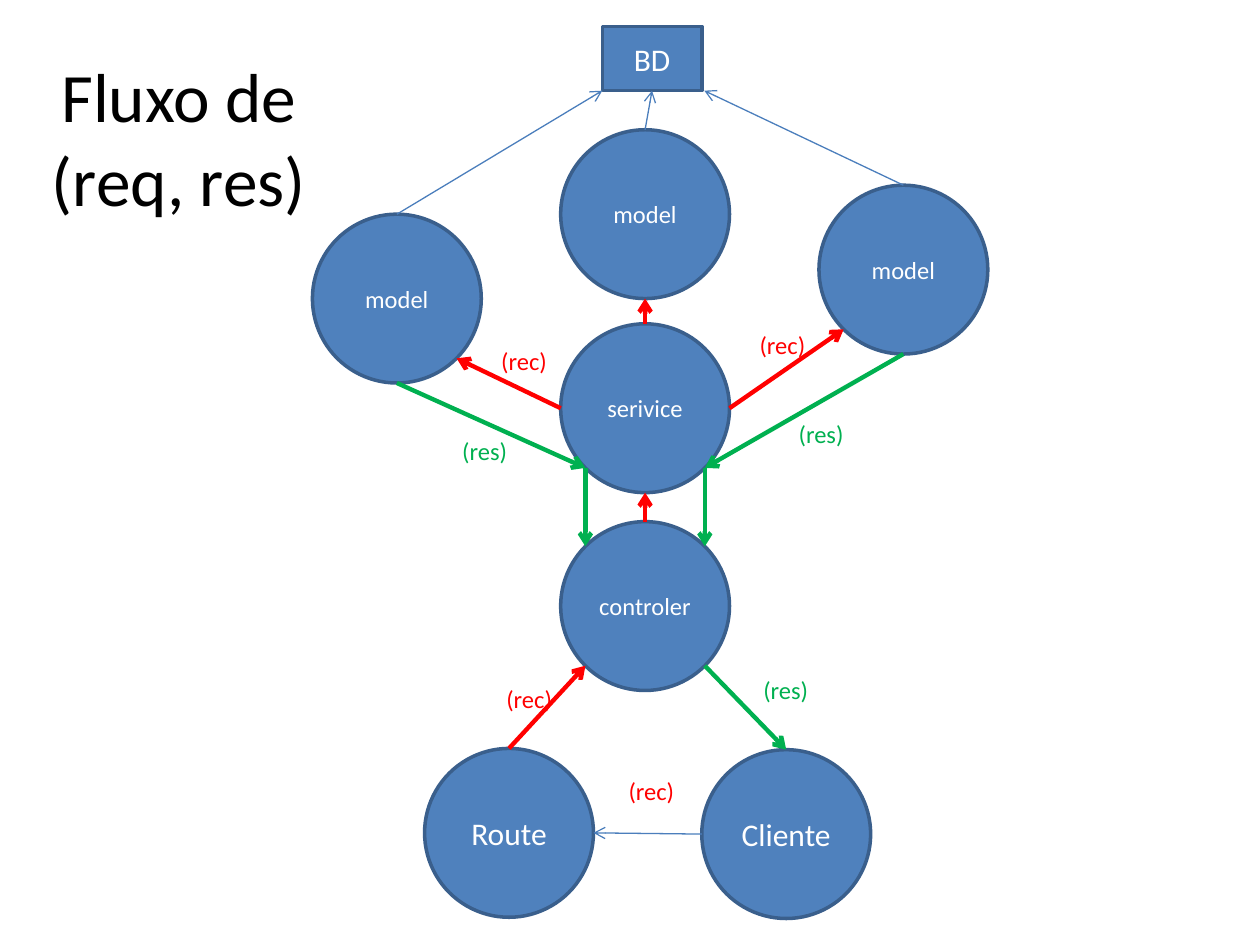
from math import sqrt

from lxml.etree import SubElement
from pptx import Presentation
from pptx.dml.color import RGBColor
from pptx.enum.shapes import MSO_CONNECTOR as Connector, MSO_SHAPE as Shape
from pptx.enum.text import MSO_ANCHOR as Anchor, PP_ALIGN as Align
from pptx.oxml.ns import qn
from pptx.util import Inches, Pt

# Grid of 100 columns by 75 rows over a 10 x 7.5 inch slide
WIDTH, HEIGHT = Inches(10), Inches(7.5)
COLUMNS, ROWS = 100, 75
DIAMETER = 13.4

FILL, OUTLINE, THIN = "4F81BD", "3A5F8C", "4B7EBC"
RED, GREEN, WHITE, BLACK = "FF0000", "00B050", "FFFFFF", "000000"

# Unit directions from a circle's centre to its rim
DIAGONAL = sqrt(0.5)
DIRECTIONS = {
    "top": (0, -1), "bottom": (0, 1), "left": (-1, 0), "right": (1, 0),
    "top left": (-DIAGONAL, -DIAGONAL), "top right": (DIAGONAL, -DIAGONAL),
    "bottom left": (-DIAGONAL, DIAGONAL), "bottom right": (DIAGONAL, DIAGONAL),
}

# name: (text, centre column, centre row, text size)
CIRCLES = {
    "route": ("Route", 40.4, 66.1, 18),
    "controller": ("controler", 51.2, 48.1, 14),
    "service": ("serivice", 51.2, 32.4, 14),
    "left model": ("model", 31.5, 23.7, 14),
    "middle model": ("model", 51.2, 17, 14),
    "right model": ("model", 71.7, 21.4, 14),
    "client": ("Cliente", 62.4, 66.2, 18),
}

# (circle, rim point) to (circle, rim point), colour, width
FLOWS = [
    ("route", "top", "controller", "bottom left", RED, 2.5),
    ("controller", "top", "service", "bottom", RED, 2.5),
    ("service", "left", "left model", "bottom right", RED, 2.5),
    ("service", "top", "middle model", "bottom", RED, 2.5),
    ("service", "right", "right model", "bottom left", RED, 2.5),
    ("right model", "bottom", "service", "bottom right", GREEN, 2.5),
    ("left model", "bottom", "service", "bottom left", GREEN, 2.5),
    ("service", "bottom left", "controller", "top left", GREEN, 2.5),
    ("service", "bottom right", "controller", "top right", GREEN, 2.5),
    ("controller", "bottom right", "client", "top", GREEN, 2.5),
    ("client", "left", "route", "right", THIN, 0.75),
]

# Left column and top row of each label
LABELS = {
    ("(rec)", RED): [(39.2, 53.8), (38.8, 27), (59.3, 25.7), (48.9, 61.1)],
    ("(res)", GREEN): [(62.4, 32.8), (35.7, 34.1), (59.6, 53.1)],
}


def x(column):
    return round(WIDTH * column / COLUMNS)


def y(row):
    return round(HEIGHT * row / ROWS)


def color(value):
    return RGBColor.from_string(value)


def rim(name, side):
    _, column, row, _ = CIRCLES[name]
    across, down = DIRECTIONS[side]
    return column + across * DIAMETER / 2, row + down * DIAMETER / 2


def write(shape, text, size=14, ink=WHITE, align=Align.CENTER,
          anchor=Anchor.MIDDLE, wrap=True):
    frame = shape.text_frame
    frame.word_wrap = wrap
    frame.vertical_anchor = anchor
    paragraph = frame.paragraphs[0]
    paragraph.alignment = align
    run = paragraph.add_run()
    run.text = text
    run.font.name = "Calibri"
    run.font.size = Pt(size)
    run.font.color.rgb = color(ink)


def add_text(slide, left, top, width, height, text, **text_format):
    box = slide.shapes.add_textbox(x(left), y(top), x(width), y(height))
    write(box, text, **text_format)


def add_node(slide, kind, left, top, width, height, text, size):
    shape = slide.shapes.add_shape(kind, x(left), y(top), x(width), y(height))
    shape.shadow.inherit = False
    shape.fill.solid()
    shape.fill.fore_color.rgb = color(FILL)
    shape.line.color.rgb = color(OUTLINE)
    shape.line.width = Pt(2)
    write(shape, text, size=size)
    return shape


def add_arrow(slide, start, end, ink=THIN, width=0.75):
    arrow = slide.shapes.add_connector(
        Connector.STRAIGHT, x(start[0]), y(start[1]), x(end[0]), y(end[1]))
    arrow.line.color.rgb = color(ink)
    arrow.line.width = Pt(width)
    SubElement(arrow.line._get_or_add_ln(), qn("a:tailEnd"), type="arrow")
    SubElement(arrow._element.spPr, qn("a:effectLst"))
    return arrow


def main():
    presentation = Presentation()
    presentation.slide_width, presentation.slide_height = WIDTH, HEIGHT
    slide = presentation.slides.add_slide(presentation.slide_layouts[6])

    # Title
    add_text(slide, 0.4, 4.6, 27.6, 12.5, "Fluxo de (req, res)",
             size=39.6, ink=BLACK)

    # Circles and database
    for text, column, row, size in CIRCLES.values():
        add_node(slide, Shape.OVAL, column - DIAMETER / 2, row - DIAMETER / 2,
                 DIAMETER, DIAMETER, text, size)
    database = add_node(slide, Shape.RECTANGLE, 47.8, 2.1, 7.9, 5.1, "BD", 18)

    # Requests and responses
    for source, leaving, target, entering, ink, width in FLOWS:
        add_arrow(slide, rim(source, leaving), rim(target, entering), ink, width)

    # Models to database
    add_arrow(slide, rim("left model", "top"), (47.8, 7.2))
    middle = add_arrow(slide, rim("middle model", "top"), (51.7, 7.2))
    middle.end_connect(database, 2)
    add_arrow(slide, rim("right model", "top"), (55.9, 7.2))

    # Arrow labels
    for (text, ink), places in LABELS.items():
        for left, top in places:
            add_text(slide, left, top, 5.7, 3.4, text, ink=ink,
                     align=Align.LEFT, anchor=Anchor.TOP, wrap=False)

    presentation.save("out.pptx")


if __name__ == "__main__":
    main()
